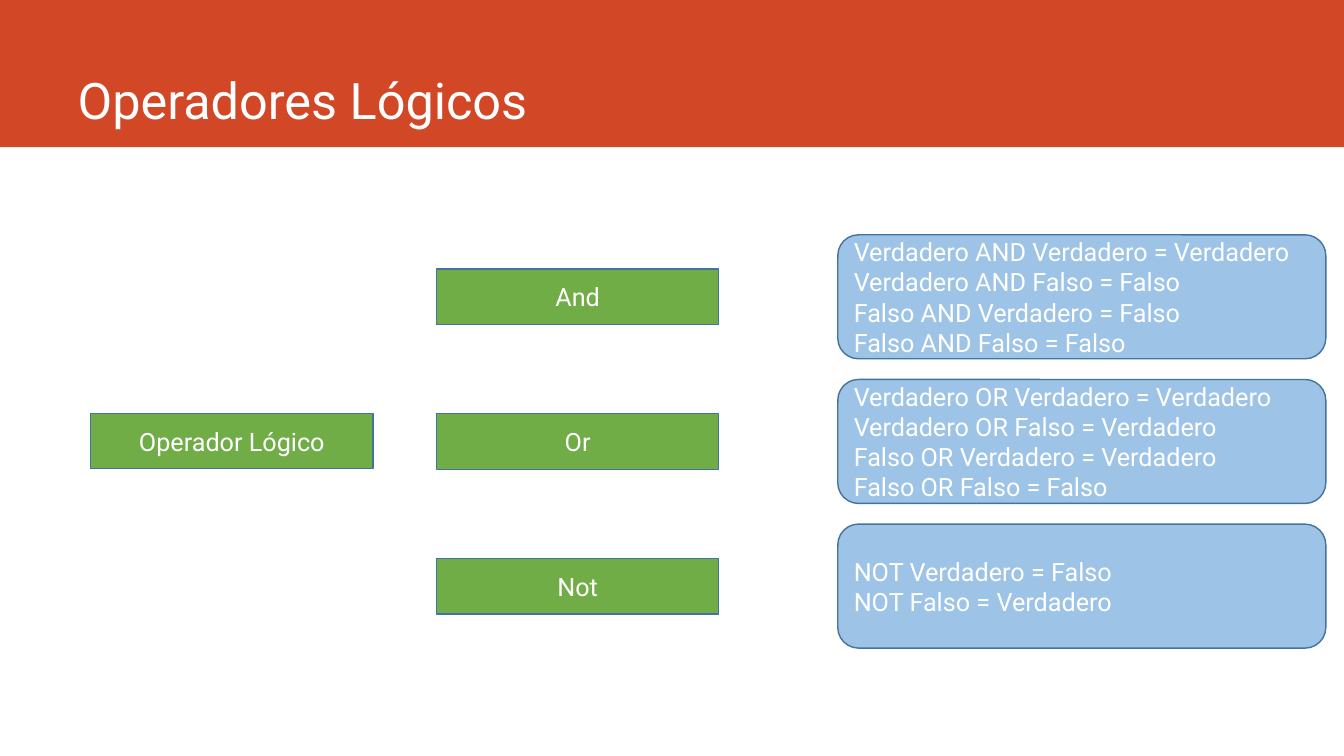
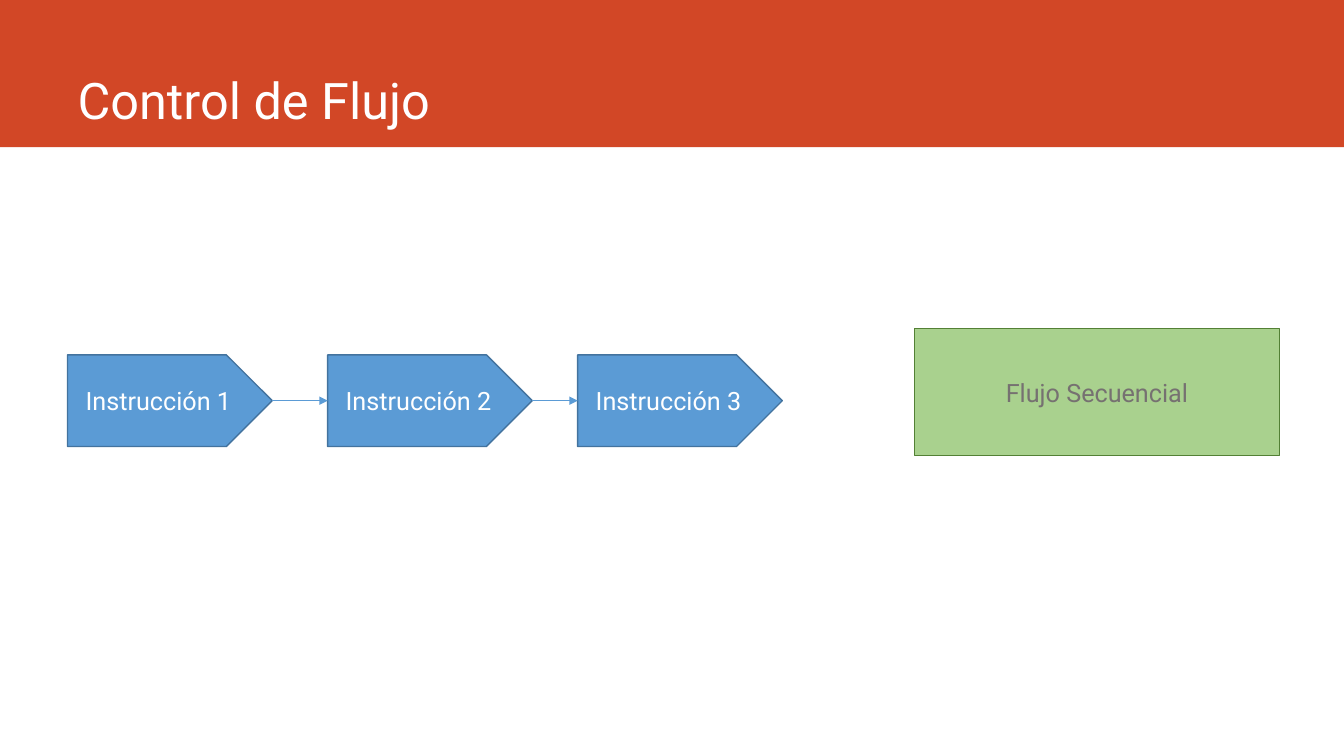
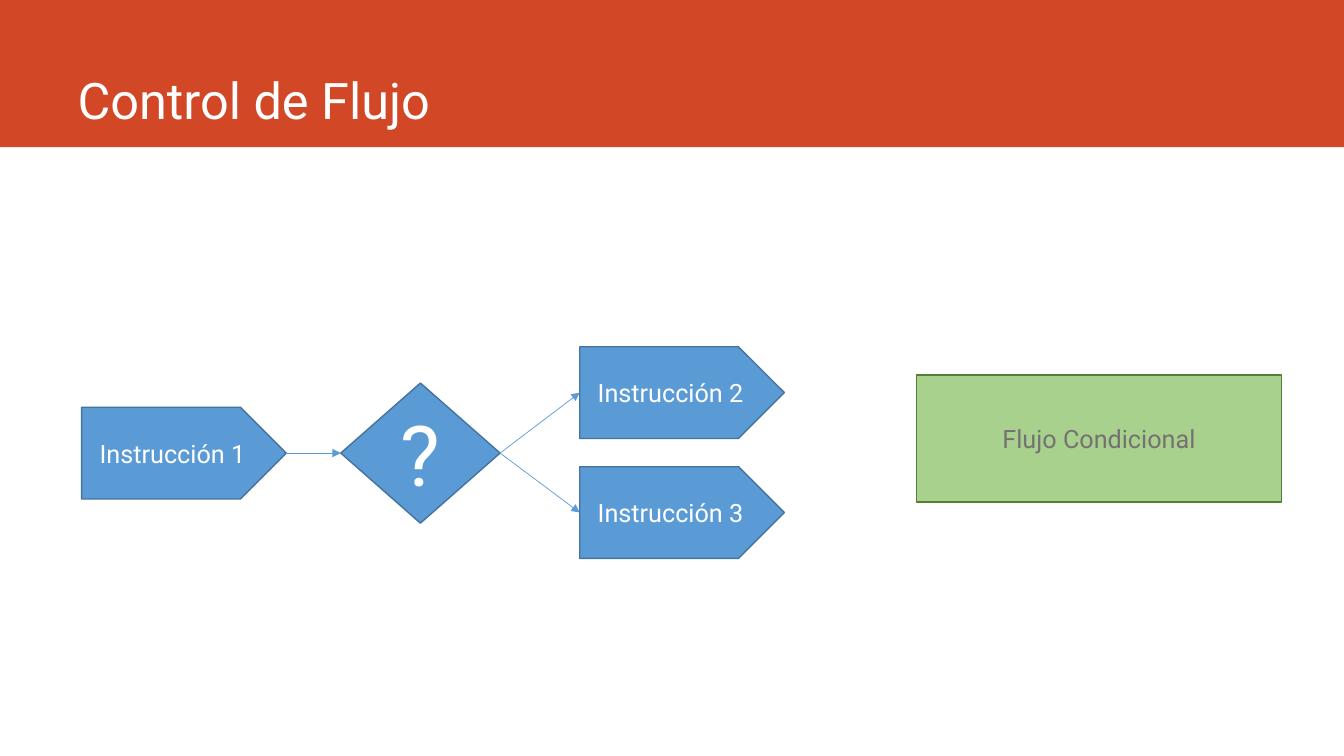
"""Builds three slides on logical operators and control flow."""
from dataclasses import dataclass

from lxml import etree
from pptx import Presentation
from pptx.dml.color import RGBColor
from pptx.enum.shapes import MSO_CONNECTOR, MSO_SHAPE
from pptx.enum.text import MSO_ANCHOR, PP_ALIGN
from pptx.oxml.ns import qn
from pptx.util import Inches, Pt

RECT = MSO_SHAPE.RECTANGLE
ROUND = MSO_SHAPE.ROUNDED_RECTANGLE
PLATE = MSO_SHAPE.PENTAGON
RHOMB = MSO_SHAPE.DIAMOND
LINE = MSO_CONNECTOR.STRAIGHT
LEFT, MID = PP_ALIGN.LEFT, PP_ALIGN.CENTER
CENTER, BASE = MSO_ANCHOR.MIDDLE, MSO_ANCHOR.BOTTOM
LSIDE, RSIDE = 1, 3


@dataclass(frozen=True)
class Theme:
    font: str = "Roboto"
    band: str = "D24726"
    white: str = "FFFFFF"
    green: str = "70AD47"
    pale: str = "A9D18E"
    moss: str = "538035"
    gray: str = "767171"
    blue: str = "5B9BD5"
    sky: str = "9DC3E6"
    edge: str = "43739E"
    head: int = 36
    text: int = 18
    mark: int = 60


T = Theme()


def add_box(slide, kind, at, lines, fill, edge=T.edge, ink=T.white,
            size=T.text, align=MID):
    box = slide.shapes.add_shape(kind, *map(Inches, at))
    box.shadow.inherit = False
    box.fill.solid()
    box.fill.fore_color.rgb = RGBColor.from_string(fill)
    box.line.color.rgb = RGBColor.from_string(edge)
    box.line.width = Pt(1)
    frame = box.text_frame
    frame.word_wrap = True
    frame.vertical_anchor = CENTER
    for i, line in enumerate(lines):
        para = frame.add_paragraph() if i else frame.paragraphs[0]
        para.alignment = align
        run = para.add_run()
        run.text = line
        run.font.name = T.font
        run.font.size = Pt(size)
        run.font.color.rgb = RGBColor.from_string(ink)
    return box


def add_link(slide, start, end):
    link = slide.shapes.add_connector(LINE, 0, 0, 0, 0)
    link.begin_connect(start, RSIDE)
    link.end_connect(end, LSIDE)
    link.line.color.rgb = RGBColor.from_string(T.blue)
    link.line.width = Pt(0.5)
    props = link._element.spPr
    tail = etree.SubElement(props.find(qn("a:ln")), qn("a:tailEnd"))
    tail.set("type", "triangle")
    etree.SubElement(props, qn("a:effectLst"))


deck = Presentation()
deck.slide_width = Inches(13.33)
deck.slide_height = Inches(7.5)
layout = deck.slide_layouts[5]

head = layout.placeholders[0]
head.left, head.top = Inches(0.67), Inches(0)
head.width, head.height = Inches(11.75), Inches(1.34)
head.text_frame.vertical_anchor = BASE

slides = []
for name in ("Operadores Lógicos", "Control de Flujo", "Control de Flujo"):
    slide = deck.slides.add_slide(layout)
    para = slide.shapes.title.text_frame.paragraphs[0]
    para.alignment = LEFT
    para.line_spacing = 0.9
    run = para.add_run()
    run.text = name
    run.font.name = T.font
    run.font.size = Pt(T.head)
    run.font.color.rgb = RGBColor.from_string(T.white)
    slides.append(slide)
logic, flow, choice = slides

band = add_box(logic, RECT, (0, 0, 13.33, 1.46), [], T.band)
band.line.fill.background()
band._element.nvSpPr.cNvPr.set("id", "20")
layout.shapes._spTree.insert(2, band._element)

rules = {
    "And": ["Verdadero AND Verdadero = Verdadero",
            "Verdadero AND Falso = Falso",
            "Falso AND Verdadero = Falso",
            "Falso AND Falso = Falso"],
    "Or": ["Verdadero OR Verdadero = Verdadero",
           "Verdadero OR Falso = Verdadero",
           "Falso OR Verdadero = Verdadero",
           "Falso OR Falso = Falso"],
    "Not": ["NOT Verdadero = Falso", "NOT Falso = Verdadero"],
}
add_box(logic, RECT, (0.9, 4.1, 2.8, 0.55), ["Operador Lógico"], T.green)
for i, (name, lines) in enumerate(rules.items()):
    top = 2.33 + i * 1.435
    add_box(logic, RECT, (4.33, top + 0.34, 2.8, 0.55), [name], T.green)
    add_box(logic, ROUND, (8.31, top, 4.84, 1.23), lines, T.sky, align=LEFT)

plans = (
    (flow, "Flujo Secuencial", (9.07, 3.26),
     ((0.67, 3.52), (3.25, 3.52), (5.73, 3.52))),
    (choice, "Flujo Condicional", (9.09, 3.72),
     ((0.81, 4.04), (5.75, 3.44), (5.75, 4.63))),
)
steps = []
for slide, name, spot, spots in plans:
    add_box(slide, RECT, (*spot, 3.62, 1.26), [name], T.pale, T.moss, T.gray)
    steps.append([
        add_box(slide, PLATE, (*at, 2.03, 0.91), [f"Instrucción {i}"], T.blue)
        for i, at in enumerate(spots, 1)])

first, second, third = steps[0]
add_link(flow, first, second)
add_link(flow, second, third)

first, second, third = steps[1]
test = add_box(choice, RHOMB, (3.38, 3.8, 1.58, 1.39), ["?"], T.blue,
               size=T.mark)
add_link(choice, first, test)
add_link(choice, test, second)
add_link(choice, test, third)

deck.save("out.pptx")
